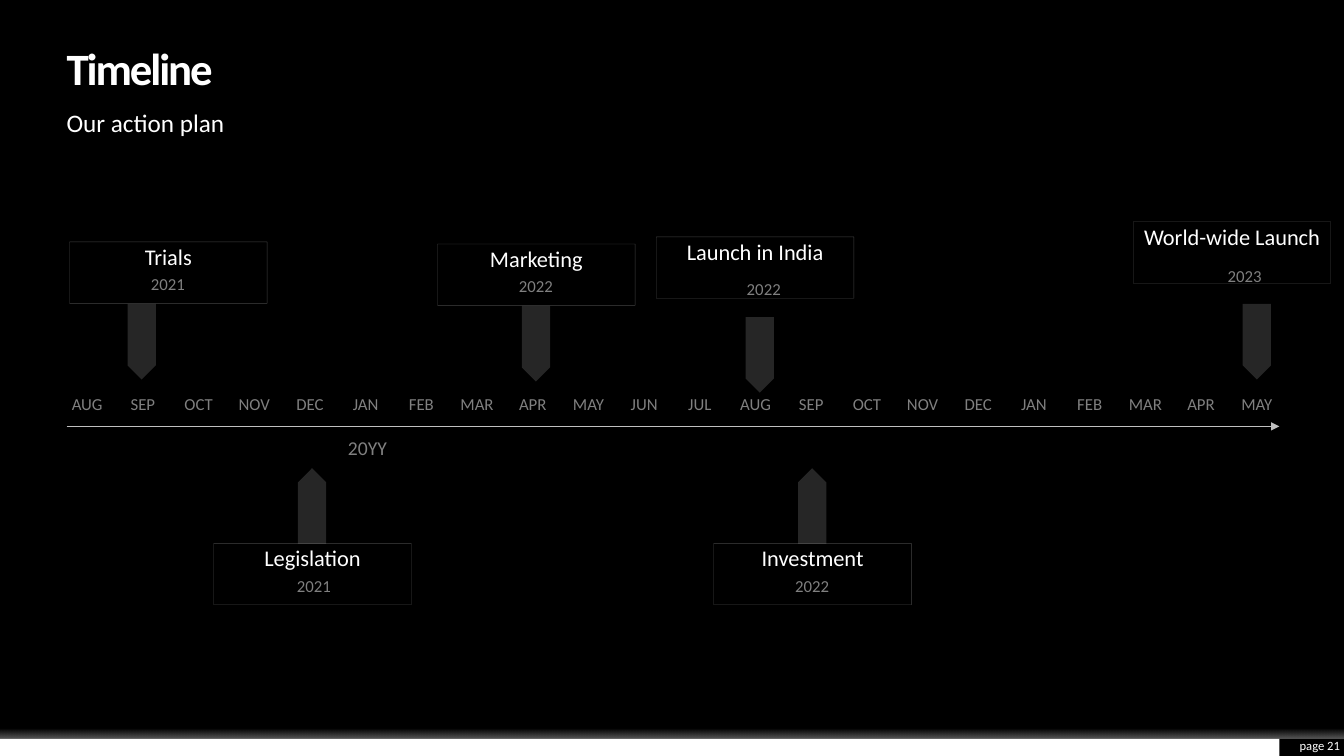
import pptx
import pptx.dml.color
import pptx.enum.shapes
import pptx.enum.text
import pptx.oxml
import pptx.oxml.ns
import pptx.util
from lxml import etree

Inches = pptx.util.Inches
Pt = pptx.util.Pt
SHAPE = pptx.enum.shapes.MSO_SHAPE
ALIGN = pptx.enum.text.PP_ALIGN
ANCHOR = pptx.enum.text.MSO_ANCHOR
qn = pptx.oxml.ns.qn

COLORS = {"black": "000000", "white": "FFFFFF", "gray": "808080",
          "dark": "262626", "axis": "BFBFBF"}

MONTHS = ("AUG SEP OCT NOV DEC JAN FEB MAR APR MAY JUN JUL "
          "AUG SEP OCT NOV DEC JAN FEB MAR APR MAY").split()
FIRST_X, LAST_X = 0.66, 12.26

# Title, year, box corner, year offset from box, marker corner, marker rotation
MILESTONES = [
    ("Trials", "2021", (0.69, 2.4), (0.05, 0.34), (1.03, 3.25), 90),
    ("Legislation", " 2021", (2.12, 5.39), (0.05, 0.34), (2.72, 4.88), 270),
    ("Marketing", "2022", (4.34, 2.42), (0.05, 0.34), (4.94, 3.27), 90),
    ("Investment", "2022", (7.08, 5.39), (0.05, 0.34), (7.68, 4.88), 270),
    ("World-wide Launch", "2023", (11.24, 2.2), (0.18, 0.46), (12.09, 3.25), 90),
    ("Launch in India", "2022", (6.51, 2.35), (0.14, 0.44), (7.16, 3.38), 90),
]


def rgb(name):
    return pptx.dml.color.RGBColor.from_string(COLORS[name])


class TimelineSlide:
    font = "Calibri"

    def __init__(self, prs):
        self.s = prs.slides.add_slide(prs.slide_layouts[6])
        fill = self.s.background.fill
        fill.solid()
        fill.fore_color.rgb = rgb("black")

    def put_text(self, sp, text, size, color="gray", align=ALIGN.CENTER,
                 anchor=ANCHOR.TOP, top=0, bold=False, spacing=0.9, before=10):
        tf = sp.text_frame
        frame = {"margin_left": 0, "margin_right": 0, "margin_bottom": 0,
                 "margin_top": Inches(top), "word_wrap": True,
                 "vertical_anchor": anchor}
        p = tf.paragraphs[0]
        para = {"alignment": align, "line_spacing": spacing,
                "space_before": Pt(before)}
        r = p.add_run()
        r.text = text
        face = {"name": self.font, "size": Pt(size), "bold": bold}
        for target, values in ((tf, frame), (p, para), (r.font, face)):
            for key, value in values.items():
                setattr(target, key, value)
        r.font.color.rgb = rgb(color)

    def label(self, text, x, y, w, h, size, **style):
        sp = self.s.shapes.add_textbox(Inches(x), Inches(y), Inches(w), Inches(h))
        self.put_text(sp, text, size, **style)
        return sp

    def shape(self, kind, x, y, w, h, fill=None):
        sp = self.s.shapes.add_shape(kind, Inches(x), Inches(y), Inches(w), Inches(h))
        sp.shadow.inherit = False
        sp.line.fill.background()
        if fill:
            sp.fill.solid()
            sp.fill.fore_color.rgb = rgb(fill)
        else:
            sp.fill.background()
        return sp

    def glow(self, x, y, w, h):
        sp = self.shape(SHAPE.RECTANGLE, x, y, w, h)
        stops = "".join(
            f'<a:gs pos="{pos}000"><a:srgbClr val="{COLORS["white"]}">'
            f'<a:alpha val="{alpha}000"/></a:srgbClr></a:gs>'
            for pos, alpha in ((40, 0), (100, 35)))
        grad = pptx.oxml.parse_xml(
            f'<a:gradFill {pptx.oxml.ns.nsdecls("a")} rotWithShape="1">'
            f'<a:gsLst>{stops}</a:gsLst><a:lin ang="5400000" scaled="0"/></a:gradFill>')
        props = sp.element.spPr
        props.replace(props.find(qn("a:noFill")), grad)

    def axis(self, x1, x2, y):
        line = self.s.shapes.add_connector(
            pptx.enum.shapes.MSO_CONNECTOR.STRAIGHT,
            Inches(x1), Inches(y), Inches(x2), Inches(y))
        line.line.width = Pt(0.5)
        line.line.color.rgb = rgb("axis")
        props = line.element.spPr
        etree.SubElement(props.find(qn("a:ln")), qn("a:tailEnd"), type="triangle")
        etree.SubElement(props, qn("a:effectLst"))

    def marker(self, x, y, rotation):
        sp = self.shape(SHAPE.PENTAGON, x, y, 0.75, 0.28, "dark")
        sp.rotation = rotation

    def box(self, title, x, y):
        sp = self.shape(SHAPE.RECTANGLE, x, y, 1.96, 0.61)
        sp.line.width = Pt(0.25)
        sp.line.color.rgb = rgb("gray")
        color = sp.element.spPr.find(".//" + qn("a:srgbClr"))
        etree.SubElement(color, qn("a:alpha"), val="52000")
        self.put_text(sp, title, 16, color="white", top=0.04)


def main():
    prs = pptx.Presentation()
    prs.slide_width, prs.slide_height = Inches(13.33), Inches(7.5)
    slide = TimelineSlide(prs)

    # Footer band and page number
    slide.shape(SHAPE.RECTANGLE, 0, 7.33, 12.69, 0.17, "white")
    slide.glow(0, 7.16, 13.33, 0.17)
    slide.label("page 21", 12.69, 7.31, 0.6, 0.17, 9, color="white",
                align=ALIGN.RIGHT, anchor=ANCHOR.MIDDLE, spacing=1.0, before=0)

    # Headings
    title_box = slide.label("Timeline", 0.66, 0.47, 10.91, 0.47, 32, color="white",
                            align=ALIGN.LEFT, anchor=ANCHOR.MIDDLE, bold=True, before=0)
    title_box.element.find(".//" + qn("a:rPr")).set("spc", "-150")
    slide.label("Our action plan", 0.66, 1.1, 10.91, 0.28, 18, color="white",
                align=ALIGN.LEFT)

    # Time axis with evenly spaced months
    slide.axis(0.66, 12.69, 4.23)
    step = (LAST_X - FIRST_X) / (len(MONTHS) - 1)
    for i, month in enumerate(MONTHS):
        slide.label(month, FIRST_X + i * step, 3.93, 0.41, 0.22, 12)
    slide.label("20YY", 3.42, 4.35, 0.45, 0.22, 14, anchor=ANCHOR.MIDDLE)

    # Milestones
    for title, year, (x, y), (dx, dy), marker, rotation in MILESTONES:
        slide.marker(*marker, rotation)
        slide.box(title, x, y)
        slide.label(year, x + dx, y + dy, 1.85, 0.25, 12)

    prs.save("out.pptx")


if __name__ == "__main__":
    main()
